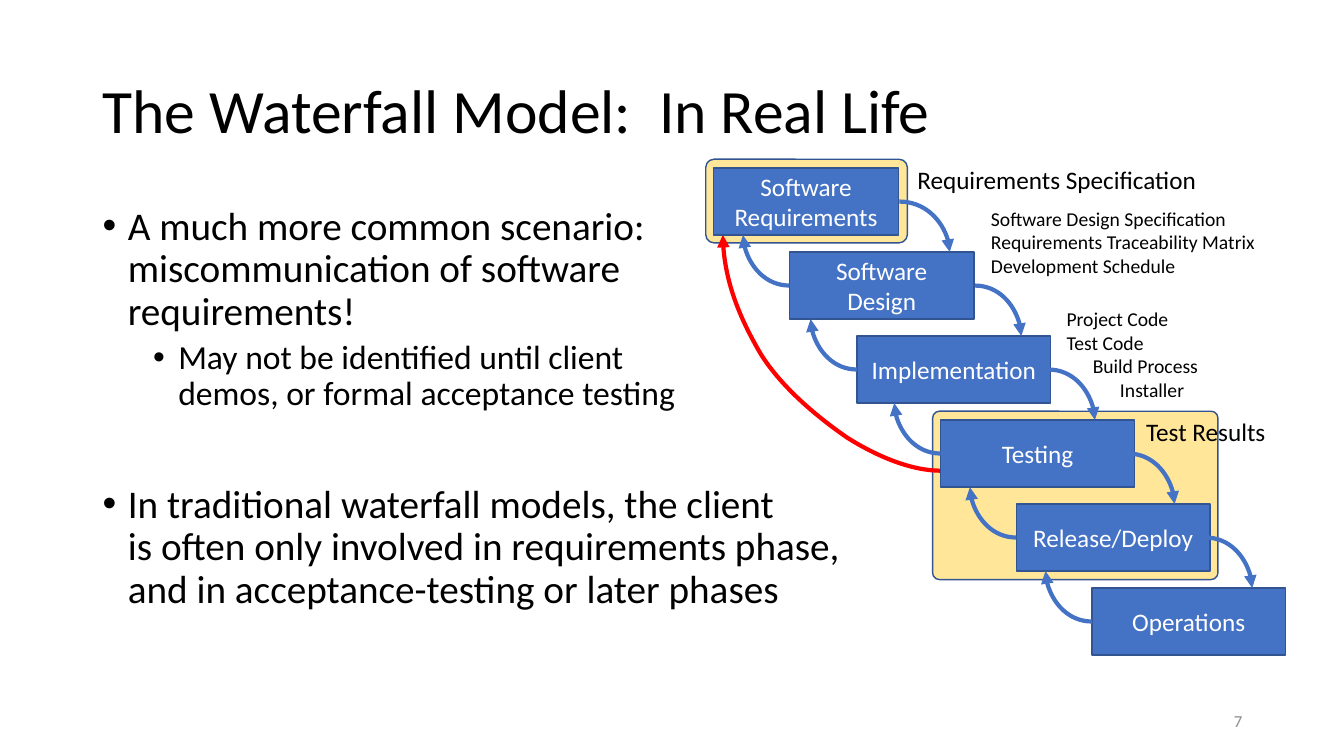
"""Build a slide on how the waterfall model behaves in real life."""
from lxml.etree import SubElement
from pptx import Presentation
from pptx.dml.color import RGBColor
from pptx.enum.shapes import MSO_CONNECTOR, MSO_SHAPE
from pptx.enum.text import MSO_ANCHOR, PP_ALIGN
from pptx.oxml.ns import qn
from pptx.util import Inches, Pt

COLORS = {
    "text": "000000", "page_number": "8C8C8C", "stage_text": "FFFFFF", "stage": "4472C4",
    "outline": "325491", "highlight": "FFE699", "feedback": "FF0000",
}


class SlideBuilder:
    """Hold the style and the current slide, and add each kind of element."""

    font_name = "Calibri"

    def __init__(self, slide):
        self.slide = slide

    def color(self, name):
        return RGBColor.from_string(COLORS[name])

    def style(self, paragraph, size, color="text", align=PP_ALIGN.LEFT):
        paragraph.alignment = align
        paragraph.font.name = self.font_name
        paragraph.font.size = Pt(size)
        paragraph.font.color.rgb = self.color(color)

    def indent(self, paragraph, left, hanging=0.0):
        properties = paragraph._p.get_or_add_pPr()
        properties.set("marL", str(Inches(left)))
        properties.set("indent", str(-Inches(hanging)))
        return properties

    def text_box(self, box, wrap=True, anchor=MSO_ANCHOR.TOP):
        frame = self.slide.shapes.add_textbox(*map(Inches, box)).text_frame
        frame.word_wrap = wrap
        frame.vertical_anchor = anchor
        return frame

    def line(self, text, box, size, color="text", align=PP_ALIGN.LEFT, spacing=1.0):
        paragraph = self.text_box(box, anchor=MSO_ANCHOR.MIDDLE).paragraphs[0]
        paragraph.text = text
        paragraph.line_spacing = spacing
        self.style(paragraph, size, color, align)

    def bullets(self, items, box):
        frame = self.text_box(box)
        for index, (text, size, left, space_before) in enumerate(items):
            paragraph = frame.add_paragraph() if index else frame.paragraphs[0]
            paragraph.text = text
            paragraph.line_spacing = 0.9
            paragraph.space_before = Pt(space_before)
            self.style(paragraph, size)
            properties = self.indent(paragraph, left, 0.25)
            SubElement(properties, qn("a:buFont")).set("typeface", "Arial")
            SubElement(properties, qn("a:buChar")).set("char", "•")

    def note(self, lines, box, size):
        frame = self.text_box(box, wrap=False)
        for index, (text, left) in enumerate(lines):
            paragraph = frame.add_paragraph() if index else frame.paragraphs[0]
            paragraph.text = text
            self.style(paragraph, size)
            if left:
                self.indent(paragraph, left)

    def panel(self, kind, box, fill):
        shape = self.slide.shapes.add_shape(kind, *map(Inches, box))
        shape.shadow.inherit = False
        shape.fill.solid()
        shape.fill.fore_color.rgb = self.color(fill)
        shape.line.color.rgb = self.color("outline")
        shape.line.width = Pt(1)
        return shape

    def highlight(self, box, corner):
        self.panel(MSO_SHAPE.ROUNDED_RECTANGLE, box, "highlight").adjustments[0] = corner

    def stage(self, label, box):
        frame = self.panel(MSO_SHAPE.RECTANGLE, box, "stage").text_frame
        frame.word_wrap = True
        frame.vertical_anchor = MSO_ANCHOR.MIDDLE
        frame.text = label
        for paragraph in frame.paragraphs:
            self.style(paragraph, 18, "stage_text", PP_ALIGN.CENTER)

    def arrow_line(self, shape, color):
        shape.line.color.rgb = self.color(color)
        shape.line.width = Pt(3)
        SubElement(shape.line._get_or_add_ln(), qn("a:tailEnd")).set("type", "triangle")

    def curved_arrow(self, start, end):
        connector = self.slide.shapes.add_connector(
            MSO_CONNECTOR.CURVE, *map(Inches, (*start, *end)))
        properties = connector._element.spPr
        properties.find(qn("a:prstGeom")).set("prst", "curvedConnector2")
        self.arrow_line(connector, "stage")
        SubElement(properties, qn("a:effectLst"))

    def bezier_arrow(self, points, color):
        start, *rest = [(Inches(x), Inches(y)) for x, y in points]
        builder = self.slide.shapes.build_freeform(*start)
        builder.add_line_segments(rest, close=False)
        shape = builder.convert_to_shape()
        outline = next(shape._element.iter(qn("a:path")))
        segments = outline.findall(qn("a:lnTo"))
        for first in range(0, len(segments), 3):
            curve = SubElement(outline, qn("a:cubicBezTo"))
            for segment in segments[first:first + 3]:
                curve.append(segment[0])
                outline.remove(segment)
        shape.shadow.inherit = False
        shape.fill.background()
        self.arrow_line(shape, color)


presentation = Presentation()
presentation.slide_width = Inches(13.33)
presentation.slide_height = Inches(7.5)
builder = SlideBuilder(presentation.slides.add_slide(presentation.slide_layouts[6]))

builder.line("The Waterfall Model:  In Real Life", (0.92, 0.4, 11.5, 1.45), 44, spacing=0.9)
builder.bullets([
    ("A much more common scenario:\nmiscommunication of software\nrequirements!", 28, 0.25, 10),
    ("May not be identified until client\ndemos, or formal acceptance testing", 24, 0.75, 5),
    ("In traditional waterfall models, the client\n"
     "is often only involved in requirements phase,\n"
     "and in acceptance-testing or later phases", 28, 0.25, 51),
], (0.92, 2, 11.5, 4.76))

builder.highlight((7, 1.58, 2, 0.83), 0.1)
builder.highlight((9.25, 4.08, 2.83, 1.67), 0.04)
builder.bezier_arrow([
    (9.33, 4.67), (9.04, 4.67), (8.7, 4.53), (8.4, 4.34), (8.11, 4.14),
    (7.76, 3.85), (7.55, 3.52), (7.35, 3.18), (7.17, 2.76), (7.17, 2.33),
], "feedback")

FIRST_TOP, STEP, STAGE_HEIGHT = 5 / 3, 5 / 6, 2 / 3
STAGES = [
    ("Software\nRequirements", 7.08, 1.83),
    ("Software\nDesign", 7.83, 1.83),
    ("Implementation", 8.5, 1.92),
    ("Testing", 9.33, 1.92),
    ("Release/Deploy", 10.08, 1.92),
    ("Operations", 10.83, 1.92),
]
DOWN_ARROWS = [(8.92, 9.42), (9.67, 10.13), (10.4, 10.86), (11.19, 11.65), (11.96, 12.42)]
tops = [FIRST_TOP + STEP * row for row in range(len(STAGES))]

for (label, left, width), top in zip(STAGES, tops):
    builder.stage(label, (left, top, width, STAGE_HEIGHT))
for (start, end), top, next_top, (_, next_left, _) in zip(DOWN_ARROWS, tops, tops[1:], STAGES[1:]):
    middle = STAGE_HEIGHT / 2
    builder.curved_arrow((start, top + middle), (end, next_top))
    builder.curved_arrow((next_left, next_top + middle), (next_left - 0.46, top + STAGE_HEIGHT))

builder.note([("Requirements Specification", 0)], (9, 1.58, 3, 0.4), 18)
builder.note([
    ("Software Design Specification", 0),
    ("Requirements Traceability Matrix", 0),
    ("Development Schedule", 0),
], (9.73, 2, 2.85, 0.81), 14)
builder.note([
    ("Project Code", 0), ("Test Code", 0), ("Build Process", 0.26), ("Installer", 0.53),
], (10.48, 3, 1.52, 1.04), 14)
builder.note([("Test Results", 0)], (11.27, 4.08, 1.4, 0.4), 18)
builder.line("7", (9.42, 6.95, 3, 0.4), 12, "page_number", PP_ALIGN.RIGHT)

presentation.save("out.pptx")
